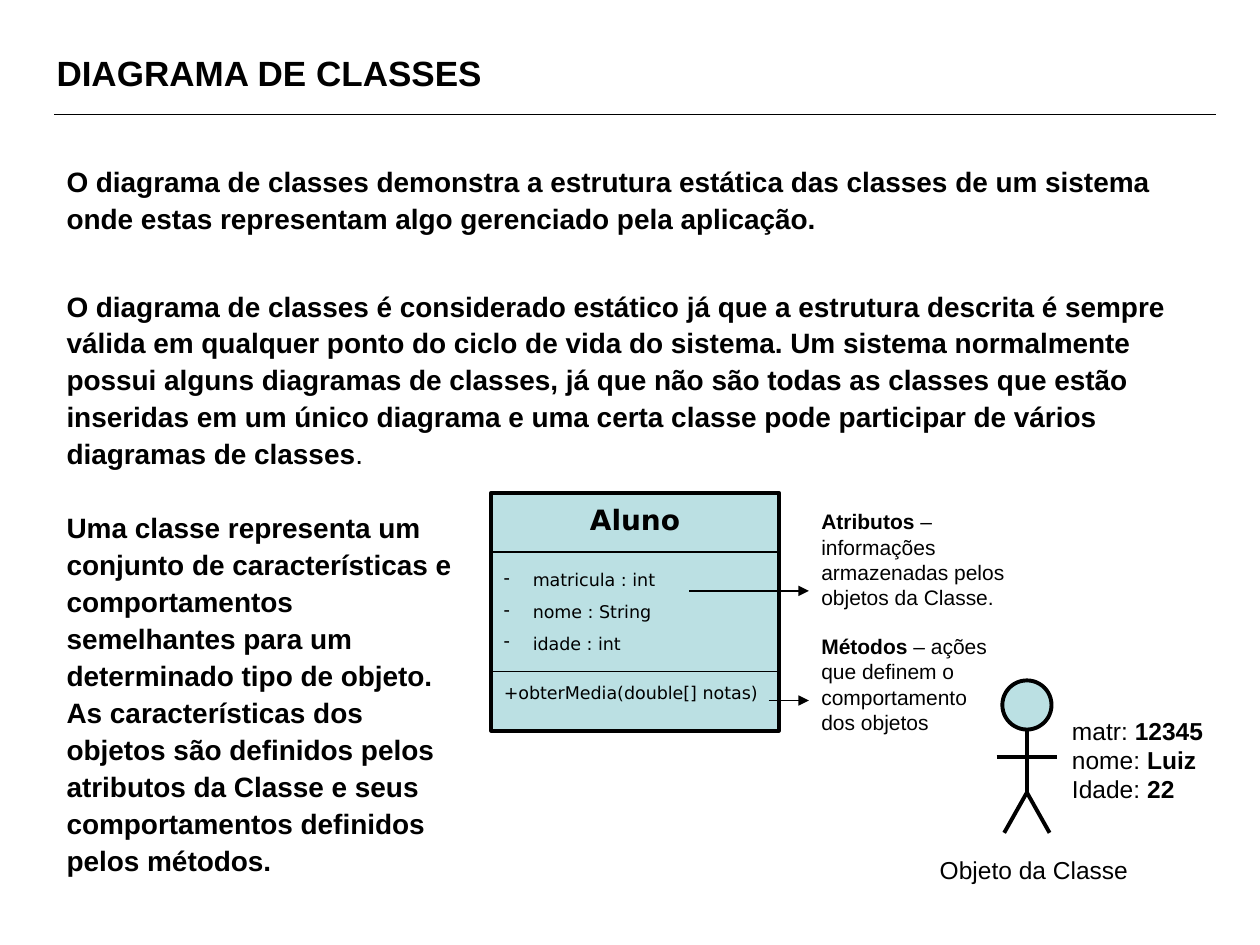
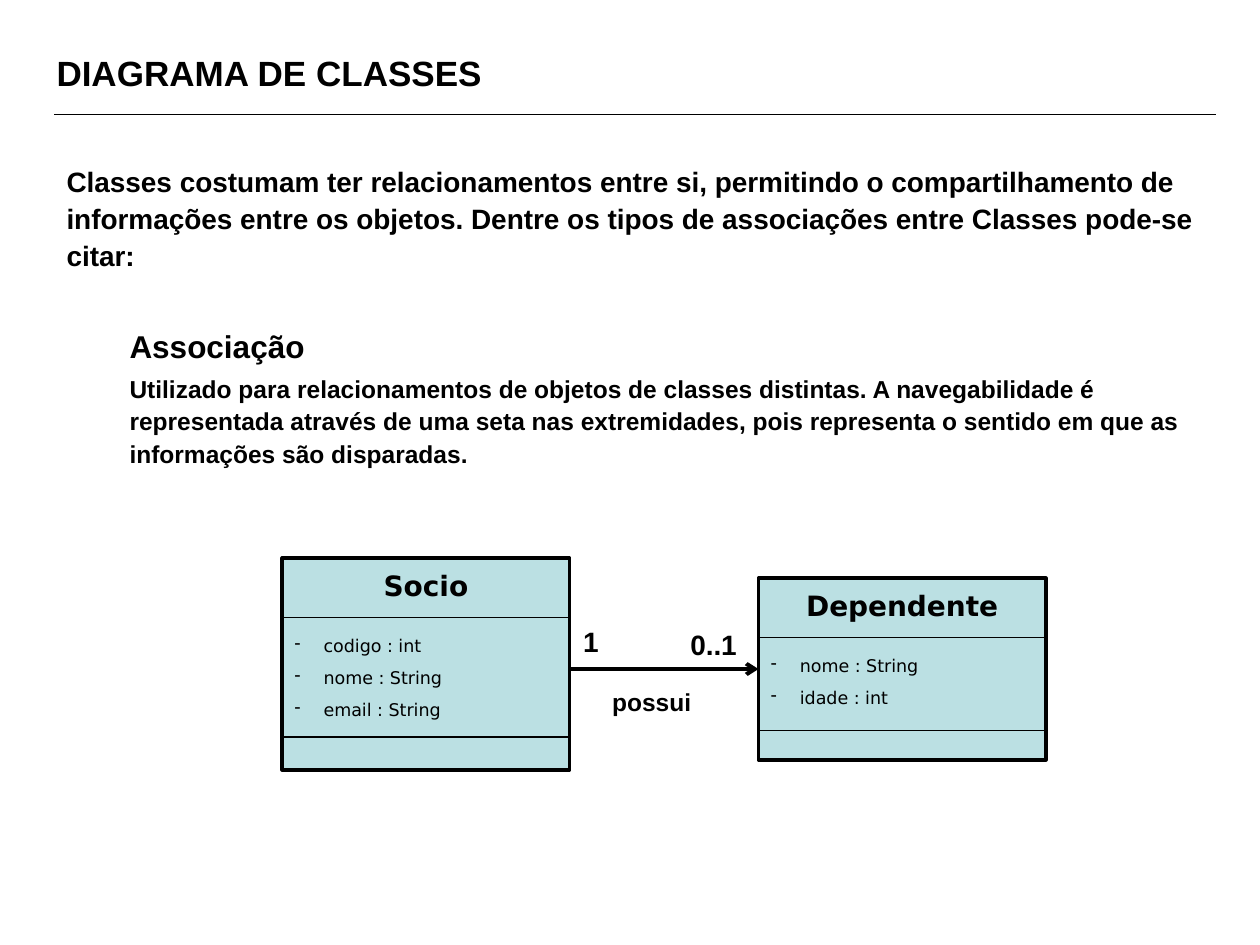
from dataclasses import dataclass, field

from lxml import etree
from pptx import Presentation
from pptx.dml import color
from pptx.enum import shapes, text
from pptx.oxml import ns
from pptx.util import Emu, Inches, Pt

# ---- Content: boxes are (column, row, width, height) on a 100 x 75 grid ----
# Text between asterisks switches the weight of its style.
TITLE = "DIAGRAMA DE CLASSES"
BODY_BOX = (4.3, 12.3, 91.4, 52.5)

CLASS_INTRO = [
    ("body", "O diagrama de classes demonstra a estrutura estática das classes de um "
             "sistema onde estas representam algo gerenciado pela aplicação."),
    ("body", "O diagrama de classes é considerado estático já que a estrutura descrita "
             "é sempre válida em qualquer ponto do ciclo de vida do sistema. Um sistema "
             "normalmente possui alguns diagramas de classes, já que não são todas as "
             "classes que estão inseridas em um único diagrama e uma certa classe pode "
             "participar de vários diagramas de classes*.*"),
]
RELATION_INTRO = [
    ("body", "Classes costumam ter relacionamentos entre si, permitindo o "
             "compartilhamento de informações entre os objetos. Dentre os tipos de "
             "associações entre Classes pode-se citar:"),
    ("topic", "Associação"),
    ("detail", "Utilizado para relacionamentos de objetos de classes distintas. A "
               "navegabilidade é representada através de uma seta nas extremidades, pois "
               "representa o sentido em que as informações são disparadas."),
]
CLASS_NOTES = [
    ((4.3, 39.8, 33.9, 30.3), [
        ("body", "Uma classe representa um conjunto de características e comportamentos "
                 "semelhantes para um determinado tipo de objeto. As características dos "
                 "objetos são definidos pelos atributos da Classe e seus comportamentos "
                 "definidos pelos métodos.")]),
    ((64.2, 39.9, 18.1, 9), [
        ("note", "*Atributos* – informações armazenadas pelos objetos da Classe.")]),
    ((64.2, 49.8, 16.5, 9), [
        ("note", "*Métodos* – ações que definem o comportamento dos objetos")]),
    ((73.6, 67.4, 19.7, 3.4), [("object", "Objeto da Classe")]),
]
OBJECT_VALUES = ((84.1, 56.3, 12.4, 8), [
    ("object", "matr: *12345*"), ("object", "nome: *Luiz*"), ("object", "Idade: *22*")])
RELATION_LABELS = [
    ((53.8, 49.3, 7.1, 3.7), [("multiplicity", "0..1")]),
    ((45.3, 49.1, 5.5, 3.7), [("multiplicity", "1")]),
    ((47.6, 54, 9.4, 3.4), [("role", "possui")]),
]
# Each class: left column, top row, height of the methods part
ALUNO = dict(name="Aluno", left=39, top=39.1, methods_height=4.7,
             attributes=["matricula : int", "nome : String", "idade : int"],
             methods=["+obterMedia(double[] notas)"])
SOCIO = dict(name="Socio", left=22.4, top=44.3, methods_height=2.6,
             attributes=["codigo : int", "nome : String", "email : String"], methods=[])
DEPENDENTE = dict(name="Dependente", left=60.2, top=45.9, methods_height=2.3,
                  attributes=["nome : String", "idade : int"], methods=[])
NOTE_ARROWS = [((54.7, 46.9), (64.2, 46.9)), ((61, 55.6), (64.2, 55.6))]
FIGURE_CENTRE, FIGURE_TOP = 81.5, 54


# ---- Theme ----
@dataclass
class Style:
    size: float
    bold: bool = False
    before: float = 0
    line: float = 1.0
    indent: float = 0
    font: str = "Arial"
    bullet: str = ""
    align: int = text.PP_ALIGN.LEFT


@dataclass
class Theme:
    ink: str = "000000"
    fill: str = "BBE0E3"
    thin: float = 0.75
    thick: float = 2.25
    styles: dict = field(default_factory=lambda: {
        "title": Style(20, True),
        "body": Style(16, True, before=29, line=1.1),
        "topic": Style(18, True, before=29.5, line=1.1, indent=0.5),
        "detail": Style(14, True, before=3.5, line=1.1, indent=0.5),
        "note": Style(12),
        "object": Style(14),
        "multiplicity": Style(16, True),
        "role": Style(14, True),
        "class name": Style(16, True, font="DejaVu Sans", align=text.PP_ALIGN.CENTER),
        "attribute": Style(10, before=6.2, indent=0.23, font="DejaVu Sans", bullet="-"),
        "method": Style(10, before=6.2, font="DejaVu Sans"),
    })


THEME = Theme()
SLIDE_WIDTH, SLIDE_HEIGHT = Inches(10), Inches(7.5)
CLASS_WIDTH, NAME_HEIGHT = 22.8, 4.7
COLUMN, ROW = SLIDE_WIDTH / 100, SLIDE_HEIGHT / 75


def grid(*values):
    """Turn alternating columns and rows into lengths."""
    return [Emu(round(value * (ROW if index % 2 else COLUMN)))
            for index, value in enumerate(values)]


def rgb(value):
    return color.RGBColor.from_string(value)


# ---- Text ----
def set_indent(paragraph, style):
    properties = paragraph._p.get_or_add_pPr()
    properties.set("marL", str(Inches(style.indent)))
    properties.set("indent", str(-Inches(style.indent) if style.bullet else 0))
    if style.bullet:
        bullet_color = etree.SubElement(properties, ns.qn("a:buClr"))
        etree.SubElement(bullet_color, ns.qn("a:srgbClr"), val=THEME.ink)
        etree.SubElement(properties, ns.qn("a:buChar"), char=style.bullet)


def add_text(slide, box, paragraphs, wrap=True, grow=True):
    frame = slide.shapes.add_textbox(*grid(*box)).text_frame
    frame.word_wrap = wrap
    frame.auto_size = (text.MSO_AUTO_SIZE.SHAPE_TO_FIT_TEXT if grow
                       else text.MSO_AUTO_SIZE.NONE)
    for index, (style_name, content) in enumerate(paragraphs):
        style = THEME.styles[style_name]
        paragraph = frame.add_paragraph() if index else frame.paragraphs[0]
        set_indent(paragraph, style)
        paragraph.alignment = style.align
        paragraph.line_spacing = style.line
        paragraph.space_before = Pt(style.before if index else 0)
        for part, words in enumerate(content.split("*")):
            if words:
                run = paragraph.add_run()
                run.text = words
                run.font.name, run.font.size = style.font, Pt(style.size)
                run.font.bold = style.bold != bool(part % 2)
                run.font.color.rgb = rgb(THEME.ink)


# ---- Lines and filled shapes ----
def add_line(parent, start, end, width=THEME.thin, arrow=None):
    line = parent.shapes.add_connector(shapes.MSO_CONNECTOR.STRAIGHT, *grid(*start, *end))
    line.line.color.rgb = rgb(THEME.ink)
    line.line.width = Pt(width)
    etree.SubElement(line._element.spPr, ns.qn("a:effectLst"))
    if arrow:
        etree.SubElement(line.line._get_or_add_ln(), ns.qn("a:tailEnd"), type=arrow)
    return line


def add_filled(parent, kind, box):
    shape = parent.shapes.add_shape(kind, *grid(*box))
    shape.shadow.inherit = False
    shape.fill.solid()
    shape.fill.fore_color.rgb = rgb(THEME.fill)
    shape.line.color.rgb = rgb(THEME.ink)
    shape.line.width = Pt(THEME.thick)
    return shape


# ---- Diagram parts ----
def add_class(slide, name, left, top, methods_height, attributes, methods):
    count = len(attributes)
    name_bottom = top + NAME_HEIGHT
    attributes_bottom = name_bottom + 3.2 + 2.1 * count
    frame = add_filled(slide, shapes.MSO_SHAPE.RECTANGLE,
                       (left, top, CLASS_WIDTH, attributes_bottom + methods_height - top))
    add_text(slide, (left, top + 0.3, CLASS_WIDTH, 3.7), [("class name", name)])
    add_text(slide, (left, name_bottom + 0.9, 18.9, 3 + 2.5 * count),
             [("attribute", attribute) for attribute in attributes])
    for divider in (name_bottom, attributes_bottom):
        add_line(slide, (left, divider), (left + CLASS_WIDTH, divider))
    if methods:
        add_text(slide, (left, attributes_bottom + 0.3, CLASS_WIDTH, 5.4),
                 [("method", method) for method in methods])
    return frame


def add_stick_figure(slide, centre, top):
    group = slide.shapes.add_group_shape()
    neck, arms, hips, feet = (top + drop for drop in (3.4, 6.1, 8.9, 12.1))
    limbs = [((centre, neck), (centre, hips)),
             ((centre - 2.4, arms), (centre + 2.4, arms)),
             ((centre, hips), (centre - 1.8, feet)),
             ((centre, hips), (centre + 1.8, feet))]
    for start, end in limbs:
        add_line(group, start, end, THEME.thick)
    add_filled(group, shapes.MSO_SHAPE.OVAL, (centre - 1.95, top, 3.9, 3.9))


def add_slide(presentation, body):
    slide = presentation.slides.add_slide(presentation.slide_layouts[6])
    add_text(slide, (3.5, 3.6, 92.9, 4.4), [("title", TITLE)])
    add_line(slide, (4.3, 9.1), (96.5, 9.1))
    add_text(slide, BODY_BOX, body, grow=False)
    return slide


# ---- Slides ----
def build_class_slide(presentation):
    slide = add_slide(presentation, CLASS_INTRO)
    add_class(slide, **ALUNO)
    for box, paragraphs in CLASS_NOTES:
        add_text(slide, box, paragraphs)
    for start, end in NOTE_ARROWS:
        add_line(slide, start, end, arrow="triangle")
    add_stick_figure(slide, FIGURE_CENTRE, FIGURE_TOP)
    add_text(slide, *OBJECT_VALUES, wrap=False)


def build_relation_slide(presentation):
    slide = add_slide(presentation, RELATION_INTRO)
    add_class(slide, **SOCIO)
    dependente = add_class(slide, **DEPENDENTE)
    start = (SOCIO["left"] + CLASS_WIDTH, 53.3)
    association = add_line(slide, start, (DEPENDENTE["left"], 53.3), THEME.thick, "arrow")
    association.end_connect(dependente, 1)
    association.begin_y = association.end_y  # keep the arrow level
    for box, paragraphs in RELATION_LABELS:
        add_text(slide, box, paragraphs)


def main():
    presentation = Presentation()
    presentation.slide_width, presentation.slide_height = SLIDE_WIDTH, SLIDE_HEIGHT
    build_class_slide(presentation)
    build_relation_slide(presentation)
    presentation.save("out.pptx")


if __name__ == "__main__":
    main()
